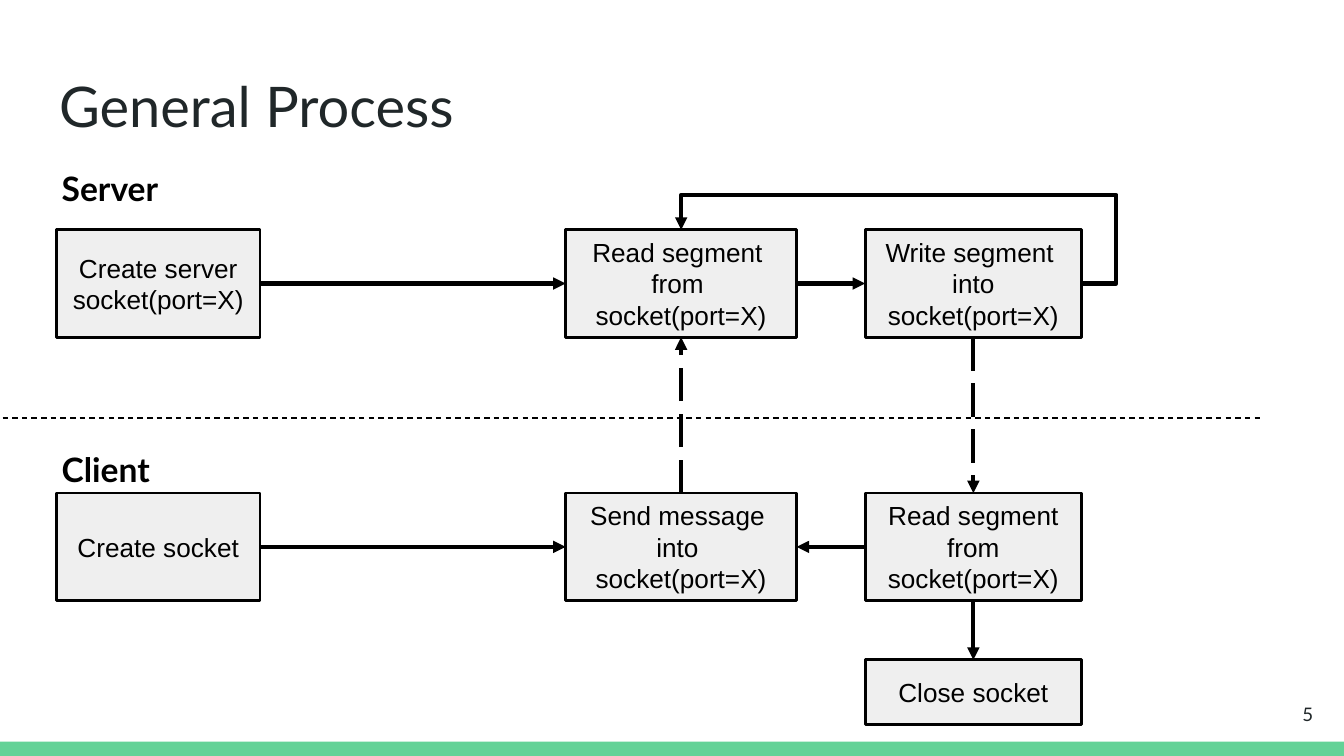
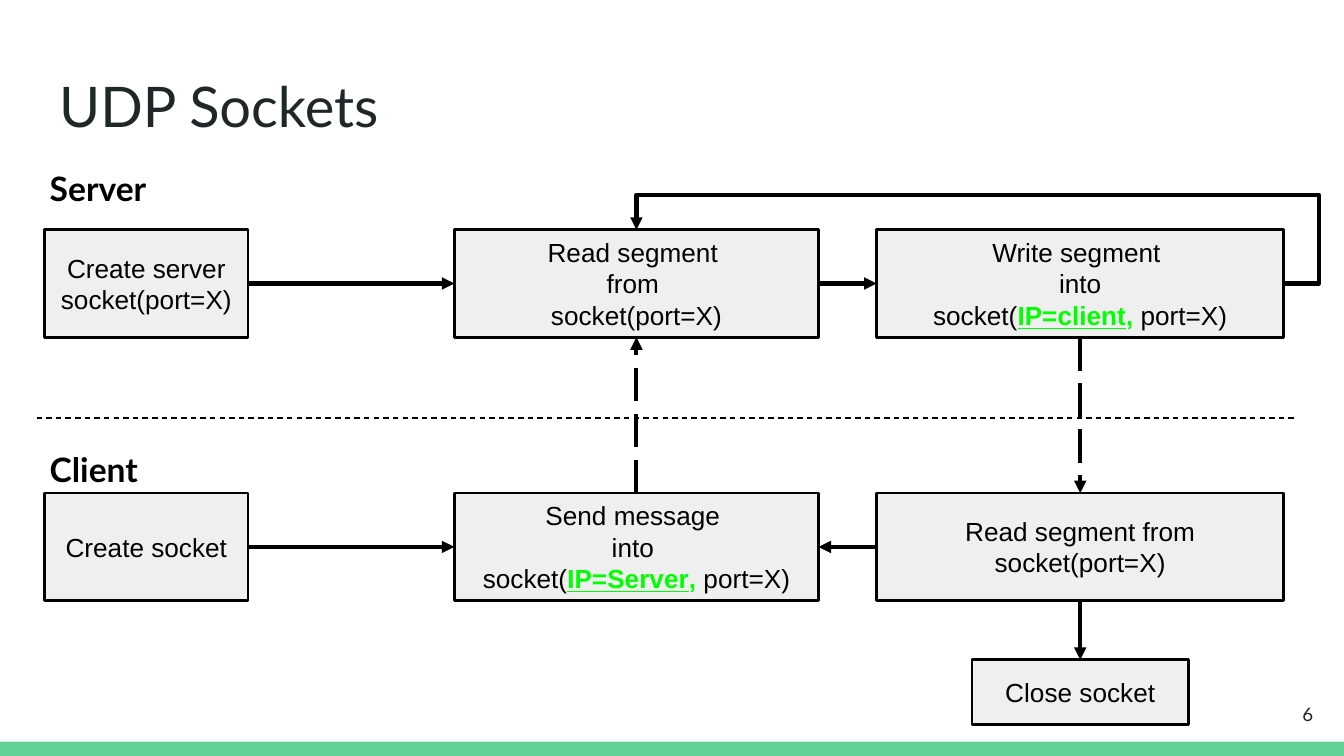
from lxml import etree
from pptx import Presentation
from pptx.dml.color import RGBColor
from pptx.enum.dml import MSO_LINE
from pptx.enum.shapes import MSO_CONNECTOR, MSO_SHAPE
from pptx.enum.text import MSO_ANCHOR, MSO_AUTO_SIZE, PP_ALIGN
from pptx.oxml.ns import qn
from pptx.util import Pt

STRAIGHT, ELBOW = MSO_CONNECTOR.STRAIGHT, MSO_CONNECTOR.ELBOW
RECTANGLE = MSO_SHAPE.RECTANGLE
DASH, LONG_DASH = MSO_LINE.DASH, MSO_LINE.LONG_DASH
TOP_ANCHOR, MIDDLE = MSO_ANCHOR.TOP, MSO_ANCHOR.MIDDLE
LEFT_ALIGN, CENTER, RIGHT_ALIGN = PP_ALIGN.LEFT, PP_ALIGN.CENTER, PP_ALIGN.RIGHT
NO_AUTOFIT = MSO_AUTO_SIZE.NONE
TOP, LEFT, BOTTOM, RIGHT = range(4)

SLIDE_WIDTH, SLIDE_HEIGHT = 720, 405
BLACK, INK, GREEN, BOX_FILL = "000000", "202729", "63D297", "EFEFEF"
BAND_HEIGHT = 7.6
FIRST_NUMBER = 5

FORMATS = {
    "title": {"name": "Lato", "size": Pt(30), "bold": False, "color": INK},
    "number": {"name": "Lato", "size": Pt(10), "color": INK},
    "label": {"name": "Lato", "size": Pt(18), "bold": True, "color": BLACK},
    "box": {"name": "Arial", "size": Pt(14), "color": BLACK},
    "address": {"bold": True, "underline": True, "color": "00FF00"},
    "comma": {"bold": True, "color": "00FF00"},
}

SERVER_TOP, CLIENT_TOP, STEP_HEIGHT = 123.1, 264.2, 57.6
CLOSE_TOP, CLOSE_WIDTH, CLOSE_HEIGHT = 353.5, 115.9, 34.6
DIVIDER_Y, DIVIDER_WIDTH = 223.9, 674
LOOP_GAP = 18.7
LABELS = [("Server", 82.8, 91.4), ("Client", 233.3, 74.2)]

PORT = ["socket(port=X)"]
READ = [["Read segment "], ["from "], PORT]


def addressed(name):
    return ["socket(", (f"IP={name}", "address"), (", ", "comma"), "port=X)"]


DIAGRAMS = [
    {
        "title": "General Process",
        "columns": [(30.4, 108.9), (303, 123.8), (463.5, 115.9)],
        "divider": 1.4,
        "write": PORT,
        "send": PORT,
    },
    {
        "title": "UDP Sockets",
        "columns": [(24, 108.9), (243.4, 195.1), (469.6, 218.2)],
        "divider": 19.6,
        "write": addressed("client"),
        "send": addressed("Server"),
    },
]

ARROWS = [
    ("create server", RIGHT, "server read", LEFT, None),
    ("create client", RIGHT, "send", LEFT, None),
    ("server read", RIGHT, "write", LEFT, None),
    ("client read", LEFT, "send", RIGHT, None),
    ("client read", BOTTOM, "close", TOP, None),
    ("send", TOP, "server read", BOTTOM, LONG_DASH),
    ("write", BOTTOM, "client read", TOP, LONG_DASH),
]


def color(value):
    return RGBColor.from_string(value)


def apply_format(font, values):
    for name, value in values.items():
        if name == "color":
            font.color.rgb = color(value)
        else:
            setattr(font, name, value)


def write_text(shape, paragraphs, style, alignment, anchor):
    frame = shape.text_frame
    settings = {"word_wrap": True, "auto_size": NO_AUTOFIT, "vertical_anchor": anchor}
    for side in ("left", "top", "right", "bottom"):
        settings[f"margin_{side}"] = Pt(7.2)
    for name, value in settings.items():
        setattr(frame, name, value)
    for index, pieces in enumerate(paragraphs):
        paragraph = frame.add_paragraph() if index else frame.paragraphs[0]
        paragraph.alignment = alignment
        for piece in pieces:
            if piece == "\n":
                paragraph.add_line_break()
                continue
            text, accent = (piece, None) if isinstance(piece, str) else piece
            run = paragraph.add_run()
            run.text = text
            apply_format(run.font, FORMATS[style] | FORMATS.get(accent, {}))


def add_text(slide, bounds, text, style, alignment, anchor):
    shape = slide.shapes.add_textbox(*map(Pt, bounds))
    write_text(shape, [[text]], style, alignment, anchor)


def add_rectangle(slide, bounds, fill):
    shape = slide.shapes.add_shape(RECTANGLE, *map(Pt, bounds))
    shape.shadow.inherit = False
    shape.fill.solid()
    shape.fill.fore_color.rgb = color(fill)
    shape.line.fill.background()
    return shape


def add_box(slide, bounds, paragraphs):
    shape = add_rectangle(slide, bounds, BOX_FILL)
    shape.line.color.rgb = color(BLACK)
    shape.line.width = Pt(1.5)
    write_text(shape, paragraphs, "box", CENTER, MIDDLE)
    return shape


def add_line(slide, kind, points, width=2.25, dash=None, arrow=True):
    connector = slide.shapes.add_connector(kind, *points)
    connector.line.color.rgb = color(BLACK)
    connector.line.width = Pt(width)
    if dash:
        connector.line.dash_style = dash
    properties = connector.element.spPr
    if arrow:
        etree.SubElement(properties.find(qn("a:ln")), qn("a:tailEnd"), type="triangle")
    etree.SubElement(properties, qn("a:effectLst"))
    return connector


def add_loop(slide, source, target):
    left, top = target.left + target.width // 2, target.top
    right, bottom = source.left + source.width, source.top + source.height // 2
    connector = add_line(slide, ELBOW, (left, top, right, bottom))
    properties = connector.element.spPr
    properties.find(qn("a:xfrm")).set("rot", "10800000")
    geometry = properties.find(qn("a:prstGeom"))
    geometry.set("prst", "bentConnector4")
    adjustments = geometry.find(qn("a:avLst"))
    if adjustments is None:
        adjustments = etree.SubElement(geometry, qn("a:avLst"))
    ratios = (-Pt(LOOP_GAP) / (right - left), 1 + Pt(LOOP_GAP) / (bottom - top))
    for index, ratio in enumerate(ratios, 1):
        formula = f"val {round(ratio * 100000)}"
        etree.SubElement(adjustments, qn("a:gd"), name=f"adj{index}", fmla=formula)


def add_frame(presentation, title, number):
    slide = presentation.slides.add_slide(presentation.slide_layouts[5])
    band = (0, SLIDE_HEIGHT - BAND_HEIGHT, SLIDE_WIDTH, BAND_HEIGHT)
    add_rectangle(slide, band, GREEN)
    heading = slide.shapes.title
    for name, value in {"left": 24.5, "top": 31, "width": 671, "height": 49}.items():
        setattr(heading, name, Pt(value))
    write_text(heading, [[title]], "title", LEFT_ALIGN, TOP_ANCHOR)
    add_text(slide, (667.4, 367.2, 43.2, 31), str(number), "number", RIGHT_ALIGN, MIDDLE)
    return slide


def add_diagram(slide, diagram):
    columns = diagram["columns"]
    steps = {
        "create server": (0, SERVER_TOP, [["Create server socket(port=X)"]]),
        "server read": (1, SERVER_TOP, READ),
        "write": (2, SERVER_TOP, [["Write segment "], ["into", "\n", *diagram["write"]]]),
        "create client": (0, CLIENT_TOP, [["Create socket"]]),
        "send": (1, CLIENT_TOP, [["Send message "], ["into "], diagram["send"]]),
        "client read": (2, CLIENT_TOP, [["Read segment from socket(port=X)"]]),
    }
    start = diagram["divider"]
    divider = map(Pt, (start, DIVIDER_Y, start + DIVIDER_WIDTH, DIVIDER_Y))
    add_line(slide, STRAIGHT, divider, 0.75, DASH, False)
    for text, top, width in LABELS:
        bounds = (columns[0][0] - 4.4, top, width, 38)
        add_text(slide, bounds, text, "label", LEFT_ALIGN, TOP_ANCHOR)

    boxes = {}
    for name, (column, top, paragraphs) in steps.items():
        left, width = columns[column]
        boxes[name] = add_box(slide, (left, top, width, STEP_HEIGHT), paragraphs)
    left, width = columns[2]
    close_left = left + (width - CLOSE_WIDTH) / 2
    close_bounds = (close_left, CLOSE_TOP, CLOSE_WIDTH, CLOSE_HEIGHT)
    boxes["close"] = add_box(slide, close_bounds, [["Close socket"]])

    for source, source_side, target, target_side, dash in ARROWS:
        connector = add_line(slide, STRAIGHT, (0, 0, 0, 0), dash=dash)
        connector.begin_connect(boxes[source], source_side)
        connector.end_connect(boxes[target], target_side)
    add_loop(slide, boxes["write"], boxes["server read"])


def main():
    presentation = Presentation()
    presentation.slide_width = Pt(SLIDE_WIDTH)
    presentation.slide_height = Pt(SLIDE_HEIGHT)
    for number, diagram in enumerate(DIAGRAMS, FIRST_NUMBER):
        slide = add_frame(presentation, diagram["title"], number)
        add_diagram(slide, diagram)
    presentation.save("out.pptx")


if __name__ == "__main__":
    main()
